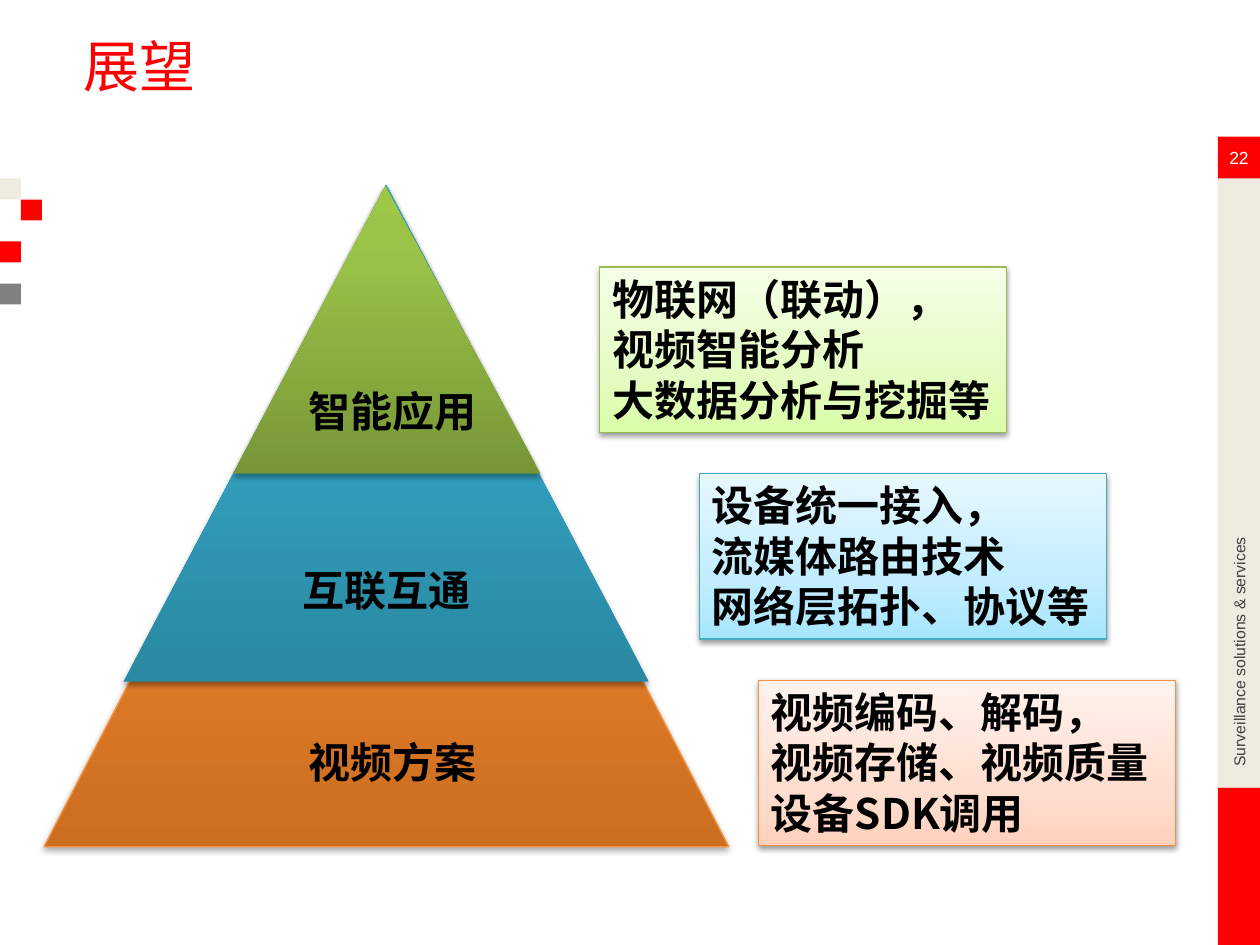
from dataclasses import dataclass

from lxml.etree import SubElement
from pptx import Presentation
from pptx.dml.color import RGBColor
from pptx.enum.shapes import MSO_SHAPE as Preset
from pptx.enum.text import MSO_ANCHOR as Anchor, MSO_AUTO_SIZE as AutoSize, PP_ALIGN as Align
from pptx.oxml.ns import qn
from pptx.util import Inches, Pt


@dataclass(frozen=True)
class Theme:
    """Colours, fonts and type sizes of the slide."""
    red: str = "FF0000"
    sand: str = "EEECE1"
    grey: str = "808080"
    white: str = "FFFFFF"
    dark: str = "404040"
    black: str = "000000"
    latin: str = "Arial"
    chinese: str = "Noto Sans CJK SC"
    title: int = 32
    body: int = 24
    number: int = 10
    tagline: int = 9
    orange: tuple = ((0, "CC6E20"), (80, "FF9034"), (100, "FF9136"))
    blue: tuple = ((0, "2A88A2"), (80, "37B1D2"), (100, "34B4D6"))
    green: tuple = ((0, "779737"), (80, "9BC348"), (100, "9DC746"))
    pale_orange: tuple = ((0, "FFD2BD"), (35, "FFDED0"), (100, "FFF2ED"))
    pale_blue: tuple = ((0, "A7E6FF"), (35, "C1EDFF"), (100, "E7F8FF"))
    pale_green: tuple = ((0, "DAFDA7"), (35, "E4FCC2"), (100, "F5FFE7"))
    orange_line: str = "F69240"
    blue_line: str = "46AAC5"
    green_line: str = "98B955"


THEME = Theme()
COLUMNS, ROWS = 60, 45
WIDTH, HEIGHT = Inches(10), Inches(7.5)


@dataclass(frozen=True)
class Box:
    """A rectangle measured in grid columns and rows."""
    left: float
    top: float
    width: float
    height: float

    def inner(self, left, top, width, height):
        """Return a box placed relative to this one."""
        return Box(self.left + left, self.top + top, width, height)

    def lengths(self):
        """Return left, top, width and height as slide lengths."""
        column, row = WIDTH / COLUMNS, HEIGHT / ROWS
        return [round(value * unit) for value, unit in
                zip((self.left, self.top, self.width, self.height), (column, row) * 2)]


def add_flat(page, box, color, preset=Preset.RECTANGLE):
    """Add a plain filled shape."""
    shape = page.shapes.add_shape(preset, *box.lengths())
    shape.shadow.inherit = False
    shape.fill.solid()
    shape.fill.fore_color.rgb = RGBColor.from_string(color)
    shape.line.fill.background()
    return shape


def add_glossy(page, preset, box, stops, line, alpha, distance):
    """Add a shape with an upward gradient and a soft shadow below."""
    shape = add_flat(page, box, THEME.white, preset)
    if line:
        shape.line.color.rgb = RGBColor.from_string(line)
        shape.line.width = Pt(0.75)
    properties = shape._element.spPr
    solid = properties.find(qn("a:solidFill"))
    gradient = solid.makeelement(qn("a:gradFill"), {"rotWithShape": "1"})
    properties.replace(solid, gradient)
    stop_list = SubElement(gradient, qn("a:gsLst"))
    for position, color in stops:
        stop = SubElement(stop_list, qn("a:gs"), pos=str(position * 1000))
        SubElement(stop, qn("a:srgbClr"), val=color)
    SubElement(gradient, qn("a:lin"), ang="16200000", scaled="0")
    shadow = SubElement(properties.find(qn("a:effectLst")), qn("a:outerShdw"), blurRad="40000",
                        dist=str(distance), dir="5400000", rotWithShape="0")
    tint = SubElement(shadow, qn("a:srgbClr"), val=THEME.black)
    SubElement(tint, qn("a:alpha"), val=str(alpha * 1000))
    return shape


def write(shape, lines, size, color, font=THEME.latin, bold=False, align=Align.LEFT):
    """Write one paragraph for each line, all in one style."""
    frame = shape.text_frame
    frame.text = "\n".join(lines)
    for para in frame.paragraphs:
        para.alignment = align
        para.font.size, para.font.bold, para.font.name = Pt(size), bold, font
        para.font.color.rgb = RGBColor.from_string(color)
        SubElement(para._p.pPr.find(qn("a:defRPr")), qn("a:ea"), typeface=font)
    return frame


def add_text(page, box, text, size, color, anchor=Anchor.MIDDLE, align=Align.LEFT):
    """Add a text box without margins."""
    shape = page.shapes.add_textbox(*box.lengths())
    frame = write(shape, [text], size, color, align=align)
    frame.word_wrap, frame.vertical_anchor = True, anchor
    frame.margin_left = frame.margin_top = frame.margin_right = frame.margin_bottom = 0
    return shape


def draw_marks(page, box):
    """Draw the small squares on the left edge."""
    for column, row, color in ((0, 0, THEME.sand), (1, 1, THEME.red),
                               (0, 3, THEME.red), (0, 5, THEME.grey)):
        add_flat(page, box.inner(column, row, 1, 1), color)


def draw_sidebar(page, box):
    """Draw the right bar with its page number and upright tagline."""
    badge = box.inner(0, 0, box.width, 2)
    add_flat(page, box.inner(0, 31, box.width, 7.5), THEME.red)
    add_flat(page, box.inner(0, 2, box.width, 29), THEME.sand)
    add_flat(page, badge, THEME.red)
    add_text(page, badge, "22", THEME.number, THEME.white, align=Align.CENTER)
    tagline = add_text(page, box.inner(-8.5, 19.5, 19, 2), "Surveillance solutions & services",
                       THEME.tagline, THEME.dark)
    tagline.rotation = 270


def draw_pyramid(page, box):
    """Draw the three stacked triangles and label each level."""
    levels = (
        (box, THEME.orange, THEME.orange_line),
        (box.inner(3.78, -0.06, 25.02, 23.64), THEME.blue, None),
        (box.inner(9, 0, 14.64, 13.68), THEME.green, None),
    )
    for place, stops, line in levels:
        triangle = add_glossy(page, Preset.ISOSCELES_TRIANGLE, place, stops, line, 35, 23000)
    triangle.adjustments[0] = 0.495
    for text, column, row in (("视频方案", 12, 25.92), ("互联互通", 11.7, 17.7),
                              ("智能应用", 12, 9.18)):
        label = page.shapes.add_textbox(*box.inner(column, row, 9.3, 3).lengths())
        frame = write(label, [text], THEME.body, THEME.black, THEME.chinese, True)
        frame.word_wrap, frame.auto_size = False, AutoSize.SHAPE_TO_FIT_TEXT


def draw_notes(page, box):
    """Draw the three note cards, stepping down to the right."""
    cards = (
        (0, 19.38, THEME.pale_green, THEME.green_line, False,
         ("物联网（联动），", "视频智能分析", "大数据分析与挖掘等")),
        (4.74, 19.38, THEME.pale_blue, THEME.blue_line, False,
         ("设备统一接入，", "流媒体路由技术", "网络层拓扑、协议等")),
        (7.56, 19.86, THEME.pale_orange, THEME.orange_line, True,
         ("视频编码、解码，", "视频存储、视频质量", "设备SDK调用")),
    )
    height = 7.88
    step = (box.height - height) / (len(cards) - 1)
    for index, (column, width, stops, line, wrap, lines) in reversed(list(enumerate(cards))):
        place = box.inner(column, index * step, width, height)
        card = add_glossy(page, Preset.RECTANGLE, place, stops, line, 38, 20000)
        frame = write(card, lines, THEME.body, THEME.black, THEME.chinese, True)
        frame.vertical_anchor = Anchor.TOP
        frame.word_wrap, frame.auto_size = wrap, AutoSize.SHAPE_TO_FIT_TEXT


def main():
    """Build the outlook slide and save it."""
    deck = Presentation()
    deck.slide_width, deck.slide_height = WIDTH, HEIGHT
    page = deck.slides.add_slide(deck.slide_layouts[6])
    draw_marks(page, Box(0, 8.5, 2, 6))
    draw_sidebar(page, Box(58, 6.5, 2, 38.5))
    add_text(page, Box(4, 1.5, 52, 5.5), "展望", THEME.title, THEME.red, Anchor.TOP)
    draw_pyramid(page, Box(2.1, 8.88, 32.6, 31.44))
    draw_notes(page, Box(28.56, 12.72, 27.42, 27.56))
    deck.save("out.pptx")


if __name__ == "__main__":
    main()
